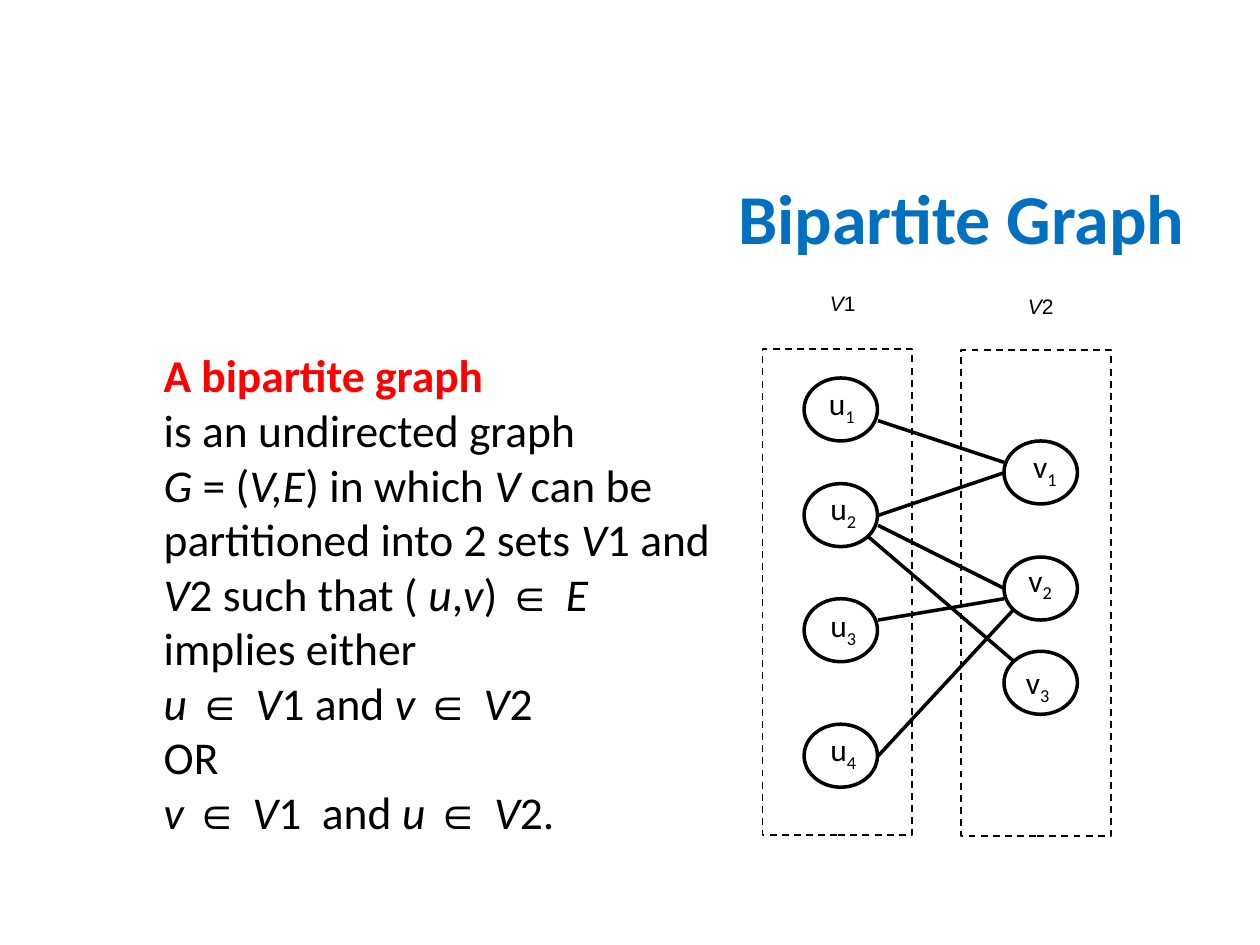
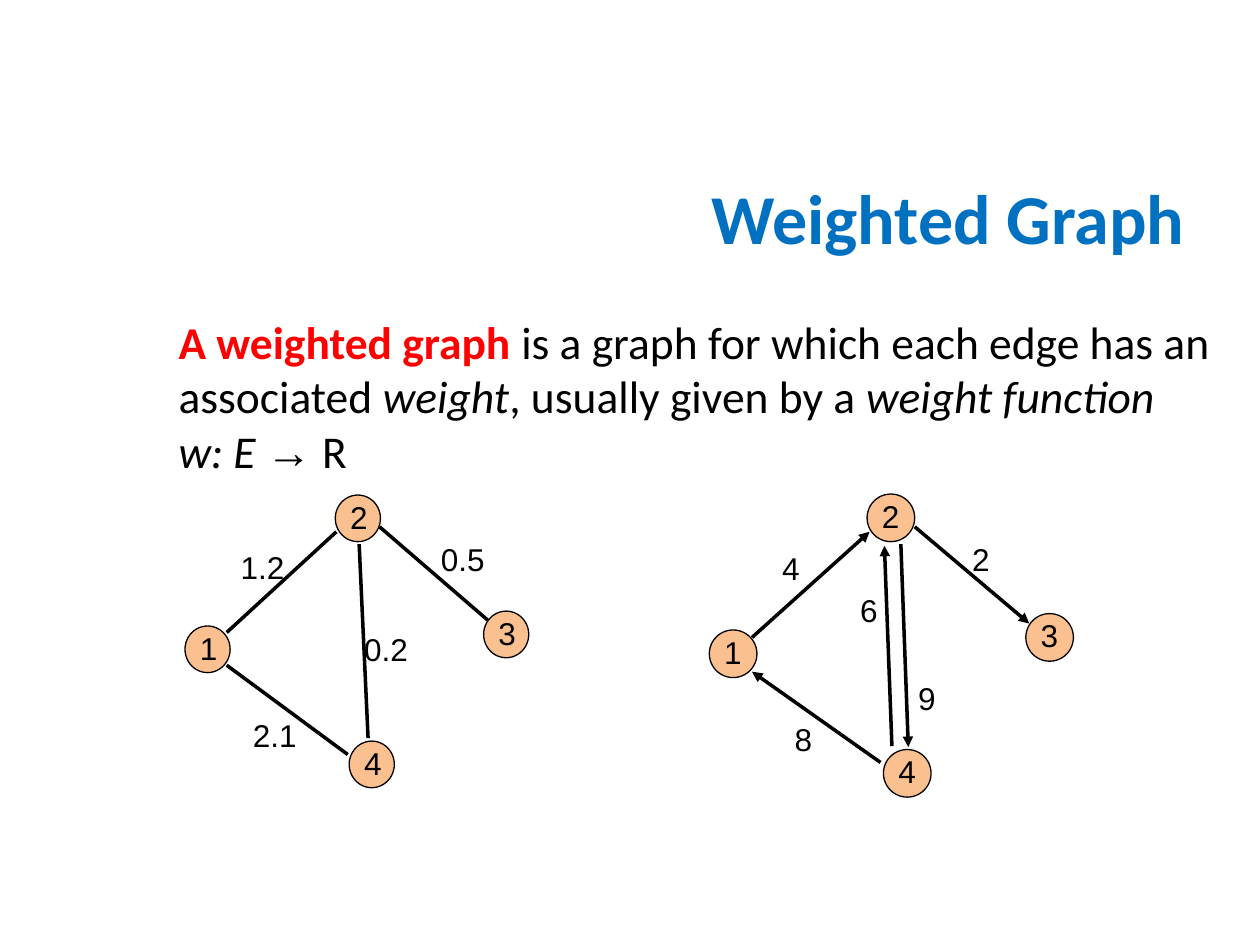
import pptx
import pptx.util
import pptx.dml.color
import pptx.enum.dml
import pptx.enum.shapes
import pptx.enum.text
import lxml.etree

Cm = pptx.util.Cm
Pt = pptx.util.Pt
rgb = pptx.dml.color.RGBColor.from_string
KIND = pptx.enum.shapes.MSO_SHAPE
A = "{http://schemas.openxmlformats.org/drawingml/2006/main}"

BLACK, BLUE, RED, PEACH = "000000", "0070C0", "FF0000", "FAC090"


def add_text(s, box, paragraphs, size, font, margin=0.25, wrap=False):
    """Add a text box; runs are (text, style), with style letters
    b = bold red, i = italic, s = subscript, a = Arial, n = line break after."""
    tf = s.shapes.add_textbox(*map(Cm, box)).text_frame
    tf.margin_left = tf.margin_right = Cm(margin)
    tf.margin_top = tf.margin_bottom = Cm(margin / 2)
    tf.word_wrap = wrap
    tf.auto_size = pptx.enum.text.MSO_AUTO_SIZE.SHAPE_TO_FIT_TEXT
    for i, runs in enumerate(paragraphs):
        p = tf.paragraphs[0] if i == 0 else tf.add_paragraph()
        p.font.size = Pt(size)
        for text, style in runs:
            r = p.add_run()
            r.text = text
            r.font.name = "Arial" if "a" in style else font
            r.font.color.rgb = rgb(RED if "b" in style else BLACK)
            r.font.bold = "b" in style
            r.font.italic = "i" in style
            if "s" in style:
                r.font._element.set("baseline", "-25000")
            if "n" in style:
                p.add_line_break()


def add_shape(s, kind, box, width, fill=None):
    sp = s.shapes.add_shape(kind, *map(Cm, box))
    sp.shadow.inherit = False
    sp.line.color.rgb = rgb(BLACK)
    sp.line.width = Pt(width)
    if fill:
        sp.fill.solid()
        sp.fill.fore_color.rgb = rgb(fill)
    else:
        sp.fill.background()
    return sp


prs = pptx.Presentation()
prs.slide_width, prs.slide_height = Cm(25.4), Cm(19.05)

# Titles
slides = []
for title in ("Bipartite Graph", "Weighted Graph"):
    s = prs.slides.add_slide(prs.slide_layouts[5])
    sp = s.shapes.title
    sp.left, sp.top, sp.width, sp.height = map(Cm, (1.27, 2.77, 22.86, 3.18))
    sp.text_frame.text = title
    p = sp.text_frame.paragraphs[0]
    p.alignment = pptx.enum.text.PP_ALIGN.RIGHT
    p.font.name, p.font.size, p.font.bold = "Calibri", Pt(40), True
    p.font.color.rgb = rgb(BLUE)
    slides.append(s)
bipartite, weighted = slides

# Bipartite graph: definition
definition = [
    ("A bipartite graph ", "bn"), ("is an undirected graph", "n"),
    ("G", "i"), (" = (", ""), ("V,E", "i"), (") in which ", ""), ("V", "i"),
    (" can be partitioned into 2 sets ", ""), ("V", "i"), ("1 and ", ""),
    ("V", "i"), ("2 such that ( ", ""), ("u", "i"), (",", ""), ("v", "i"),
    (") ", ""), ("∈ ", "ai"), ("E", "i"), (" implies either", "n"),
    ("u ", "i"), ("∈ ", "ai"), ("V", "i"), ("1 and ", ""),
    ("v ", "i"), ("∈ ", "ai"), ("V", "i"), ("2 ", "n"), ("OR ", "n"),
    ("v ", "i"), ("∈ ", "ai"), ("V", "i"), ("1  and ", ""),
    ("u ", "i"), ("∈ ", "ai"), ("V", "i"), ("2.", ""),
]
add_text(bipartite, (3.05, 6.88, 11.79, 10.16), [definition], 26, "Calibri", wrap=True)

# Bipartite graph: the two vertex sets; each vertex is (top, label left, label top)
vertex_sets = [
    ("u", "1", 15.37, 7.04, 16.48, 5.74, 16.21,
     [(7.62, 16.71, 7.75), (9.75, 16.74, 9.86), (12.07, 16.74, 12.22), (14.6, 16.74, 14.71)]),
    ("v", "2", 19.38, 7.06, 20.47, 5.79, 20.24,
     [(8.89, 20.83, 9.02), (11.23, 20.73, 11.3), (13.13, 20.68, 13.36)]),
]
for letter, number, left, top, name_left, name_top, vertex_left, vertices in vertex_sets:
    frame = add_shape(bipartite, KIND.RECTANGLE, (left, top, 3.02, 9.8), 1)
    frame.line.dash_style = pptx.enum.dml.MSO_LINE.DASH
    add_text(bipartite, (name_left, name_top, 1.02, 0.76), [[("V", "i"), (number, "")]], 12, "Arial")
    for i, (vertex_top, label_left, label_top) in enumerate(vertices, 1):
        add_shape(bipartite, KIND.OVAL, (vertex_left, vertex_top, 1.48, 1.27), 2)
        add_text(bipartite, (label_left, label_top, 0.53, 0.86),
                 [[(letter, ""), (str(i), "s")]], 18, "Calibri", margin=0)

bipartite_edges = [
    (17.7, 8.48, 20.24, 9.32), (20.24, 9.53, 17.7, 10.39), (17.7, 15.24, 20.45, 12.27),
    (17.7, 12.5, 20.24, 12.07), (17.7, 10.59, 20.24, 11.86), (17.48, 10.8, 20.45, 13.34),
]

# Weighted graph: definition
add_text(weighted, (3.35, 6.2, 21.41, 3.56), [
    [("A weighted graph ", "b"), ("is a graph for which each edge has an associated ", ""),
     ("weight", "i"), (", usually given by a ", ""), ("weight function", "i")],
    [("w: E ", "i"), ("→", "a"), (" R", "")],
], 26, "Calibri", wrap=True)

# Weighted graph: nodes 1 to 4 and edge weights, undirected then directed
graphs = [
    (0.91, 0.94, [(3.73, 12.62), (6.76, 9.98), (9.75, 12.32), (7.04, 14.94)], 1.4,
     [("1.2", 4.6, 10.92), ("2.1", 4.85, 14.3), ("0.2", 7.09, 12.57), ("0.5", 8.64, 10.77)]),
    (0.96, 0.96, [(14.3, 12.7), (17.48, 9.96), (20.68, 12.37), (17.81, 15.11)], 0.86,
     [("4", 15.52, 10.95), ("8", 15.77, 14.4), ("6", 17.09, 11.79),
      ("2", 19.35, 10.77), ("9", 18.26, 13.56)]),
]
for node_w, node_h, nodes, weight_w, weights in graphs:
    for i, (x, y) in enumerate(nodes, 1):
        add_shape(weighted, KIND.OVAL, (x, y, node_w, node_h), 0.75, PEACH)
        add_text(weighted, (x + 0.05, y - 0.07, 0.64, 1.02), [[(str(i), "")]], 18, "Arial", wrap=True)
    for weight, x, y in weights:
        add_text(weighted, (x, y, weight_w, 1.02), [[(weight, "")]], 18, "Arial")

undirected_edges = [
    (7.65, 10.62, 9.83, 12.5), (4.57, 12.75, 6.78, 10.72),
    (7.01, 15.21, 4.57, 13.41), (7.24, 10.97, 7.42, 14.88),
]
directed_edges = [
    (18.44, 10.62, 20.75, 12.57), (15.16, 12.85, 17.53, 10.72), (17.98, 15.04, 17.83, 11),
    (17.75, 15.37, 15.16, 13.54), (18.16, 10.97, 18.31, 15.06),
]

# Edges of all graphs
for s, edges, directed in [(bipartite, bipartite_edges, False),
                           (weighted, undirected_edges, False),
                           (weighted, directed_edges, True)]:
    for edge in edges:
        line = s.shapes.add_connector(pptx.enum.shapes.MSO_CONNECTOR.STRAIGHT, *map(Cm, edge))
        line.line.color.rgb = rgb(BLACK)
        line.line.width = Pt(2)
        if directed:
            lxml.etree.SubElement(line.line._get_or_add_ln(), A + "tailEnd", type="triangle")
        lxml.etree.SubElement(line._element.spPr, A + "effectLst")

prs.save("out.pptx")
